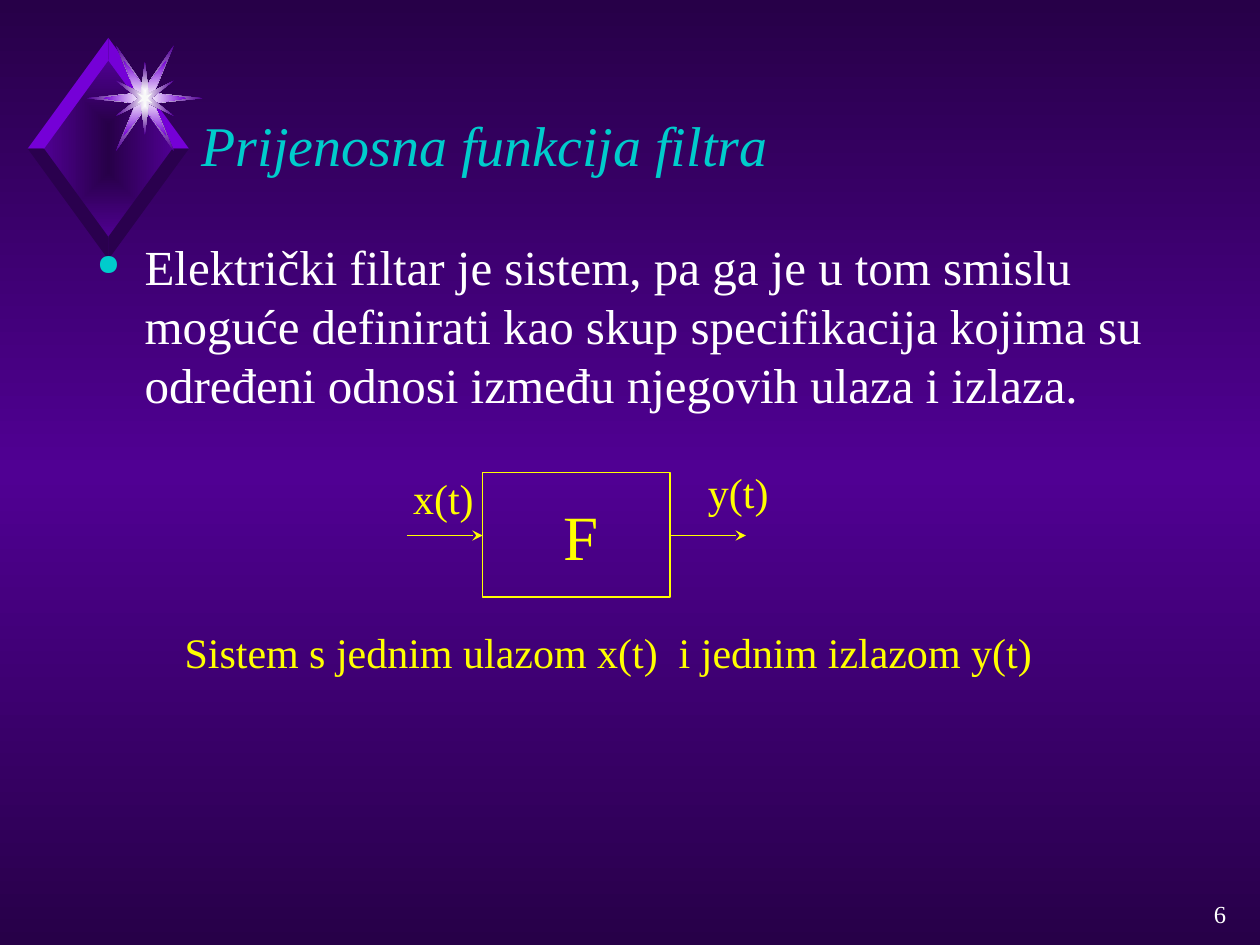
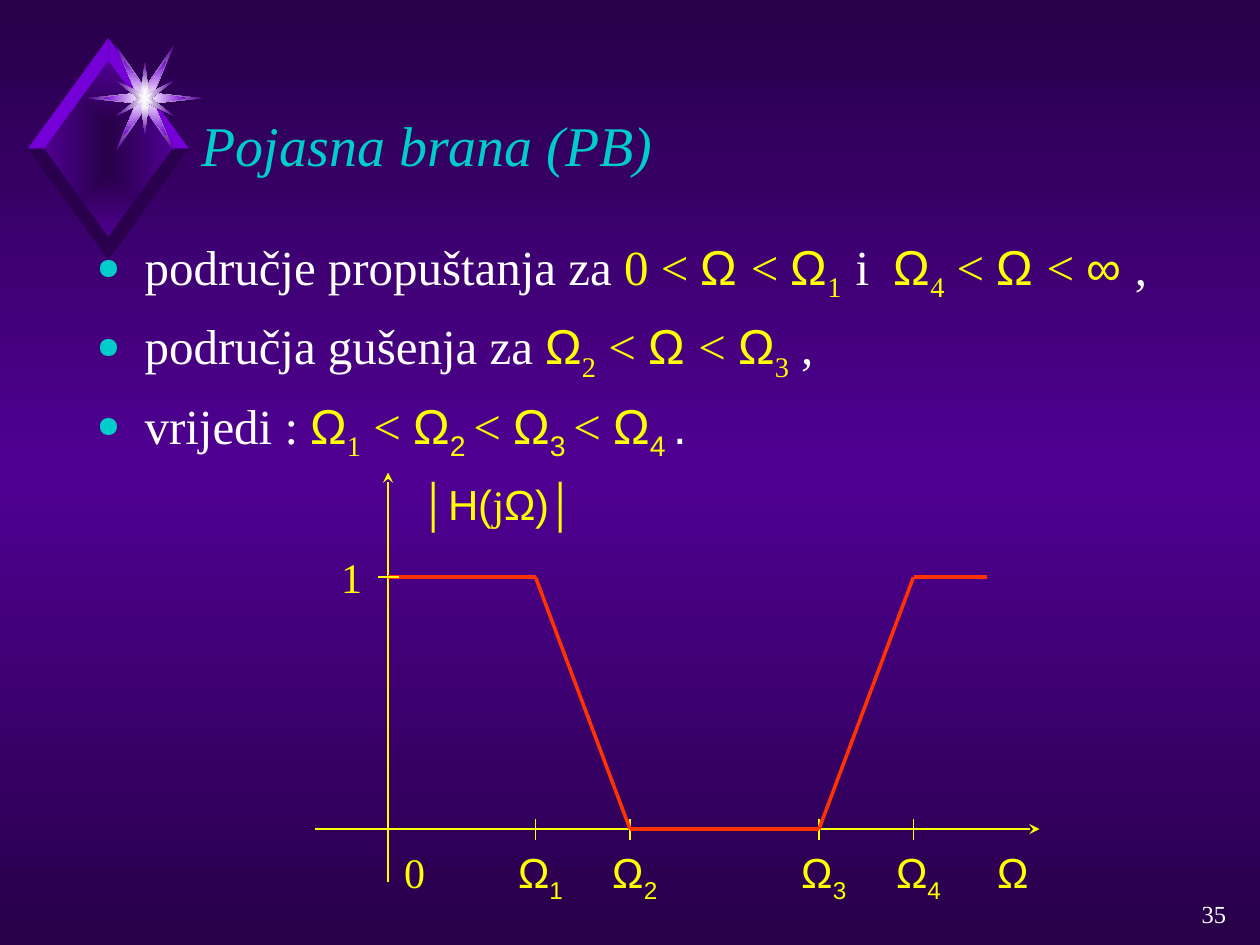
from lxml import etree
from pptx import Presentation, util as u
from pptx.dml.color import RGBColor
from pptx.enum import shapes, text
from pptx.oxml import parse_xml
from pptx.oxml.ns import qn

PX = 9144  # 100 px to the inch
C = dict(dark="270048", violet="500093", bright="7500D7", shade="2A004E",
         glow="FEFEFE", core="F9F9F9", title="00CCCC", white="FFFFFF",
         yellow="FFFF00", red="FF3300")
SERIF, SANS = "Times New Roman", "Arial"
LEFT, CENTER, RIGHT = (text.PP_ALIGN.LEFT, text.PP_ALIGN.CENTER,
                       text.PP_ALIGN.RIGHT)

# run styles: font, colour, subscript
STYLES = {
    "white": (SERIF, "white", False), "yellow": (SERIF, "yellow", False),
    "greek": (SANS, "yellow", False), "sub": (SERIF, "yellow", True),
    "greek_sub": (SANS, "yellow", True), "stop": (SANS, "white", False),
    "title": (SERIF, "title", False),
}

# content: slide 1
FILTER = dict(
    title="Prijenosna funkcija filtra", number="6",
    bullets=[[("Električki filtar je sistem, pa ga je u tom smislu moguće "
               "definirati kao skup specifikacija kojima su određeni odnosi "
               "između njegovih ulaza i izlaza.", "white")]])
BLOCK = (383, 375, 149, 99)
SIGNAL_ARROWS = [(323, 383), (532, 592)]
SIGNAL_Y = 425
BLOCK_LABELS = [("F", (437, 390, 48, 70), 36), ("x(t)", (318, 370, 68, 50), 24),
                ("y(t)", (552, 365, 68, 50), 24)]
CAPTION = "Sistem s jednim ulazom x(t)  i jednim izlazom y(t)"

# content: slide 2
BAND_STOP = dict(
    title="Pojasna brana (PB)", number="35",
    bullets=[
        [("područje propuštanja za ", "white"), ("0 < ", "yellow"),
         ("Ω ", "greek"), ("< ", "yellow"), ("Ω", "greek"), ("1  ", "sub"),
         ("i  ", "white"), ("Ω", "greek"), ("4", "sub"), (" < ", "yellow"),
         ("Ω ", "greek"), ("< ", "yellow"), ("∞ ", "greek"), (",", "white")],
        [("područja gušenja za ", "white"), ("Ω", "greek"), ("2", "sub"),
         (" < ", "yellow"), ("Ω ", "greek"), ("< ", "yellow"), ("Ω", "greek"),
         ("3", "sub"), (" ,", "white")],
        [("vrijedi : ", "white"), ("Ω", "greek"), ("1", "sub"),
         (" < ", "yellow"), ("Ω", "greek"), ("2 ", "greek_sub"),
         ("< ", "yellow"), ("Ω", "greek"), ("3 ", "greek_sub"),
         ("< ", "yellow"), ("Ω", "greek"), ("4 ", "greek_sub"),
         (".", "stop")]])
AXIS_X, AXIS_Y, PASS_Y = 308, 658, 458
OMEGAS = {"1": 425, "2": 500, "3": 650, "4": 725}
RESPONSE = [(AXIS_X, PASS_Y), (OMEGAS["1"], PASS_Y), (OMEGAS["2"], AXIS_Y),
            (OMEGAS["3"], AXIS_Y), (OMEGAS["4"], PASS_Y), (783, PASS_Y)]
GAIN = [("│Η(", "greek"), ("j", "yellow"), ("Ω)│", "greek")]

# emblem: one quarter of each star, mirrored about its centre
STAR_CENTRE, DIAMOND_CENTRE = (115, 78), (86, 118)
STARS = [([(46, 0), (7, 4), (23, 42), (0, 8)], "violet"),
         ([(33, 0), (7, 4), (17, 30), (0, 8)], "bright"),
         ([(5, 0), (23, 14), (3, 4), (0, 29)], "violet"),
         ([(2, 0), (6, 4), (1, 2), (0, 7)], None)]


def rgb(name):
    return RGBColor.from_string(C[name])


def set_gradient(fill, owner, colours, shade):
    """Give a fill evenly spaced stops and a shade element."""
    fill.gradient()
    g = owner.xpath(".//a:gradFill")[0]
    for child in list(g):
        g.remove(child)
    stops = etree.SubElement(g, qn("a:gsLst"))
    for i, name in enumerate(colours):
        pos = str(100000 * i // (len(colours) - 1))
        gs = etree.SubElement(stops, qn("a:gs"), pos=pos)
        etree.SubElement(gs, qn("a:srgbClr"), val=C[name])
    g.append(parse_xml(shade.replace(
        " ", ' xmlns:a="http://schemas.openxmlformats.org/drawingml/2006/main" ', 1)))


def add_bullet(p):
    pPr = p._p.get_or_add_pPr()
    pPr.set("marL", str(38 * PX))
    pPr.set("indent", str(-38 * PX))
    clr = etree.SubElement(pPr, qn("a:buClr"))
    etree.SubElement(clr, qn("a:srgbClr"), val=C["title"])
    etree.SubElement(pPr, qn("a:buSzPct"), val="60000")
    etree.SubElement(pPr, qn("a:buChar"), char="●")


def write(sp, paras, size=24, align=LEFT, anchor=text.MSO_ANCHOR.TOP,
          wrap=True, italic=False, bullet=False, before=0):
    """Fill a shape with paragraphs, each a list of (text, style) runs."""
    tf = sp.text_frame
    tf.word_wrap, tf.vertical_anchor = wrap, anchor
    tf.auto_size = text.MSO_AUTO_SIZE.NONE
    for i, runs in enumerate(paras):
        p = tf.add_paragraph() if i else tf.paragraphs[0]
        if bullet:
            add_bullet(p)
        p.alignment = align
        p.space_before = u.Pt(before if i else 0)
        for content, style in runs:
            font, colour, sub = STYLES[style]
            r = p.add_run()
            r.text = content
            r.font.name, r.font.size = font, u.Pt(size)
            r.font.italic = italic
            r.font.color.rgb = rgb(colour)
            if sub:
                r.font._element.set("baseline", "-25000")


def place(sp, box):
    sp.left, sp.top, sp.width, sp.height = (v * PX for v in box)


def add_text(s, box, paras, **fmt):
    write(s.shapes.add_textbox(*(v * PX for v in box)), paras, **fmt)


def add_line(s, start, end, colour="yellow", width=1, arrow=False):
    sp = s.shapes.add_connector(shapes.MSO_CONNECTOR.STRAIGHT,
                                *(v * PX for v in start + end))
    sp.line.color.rgb, sp.line.width = rgb(colour), u.Pt(width)
    if arrow:
        etree.SubElement(sp.line._get_or_add_ln(), qn("a:tailEnd"), type="stealth")
    etree.SubElement(sp._element.spPr, qn("a:effectLst"))


def add_outline(s, points, colours):
    """Closed outline, filled plain or from its centre outwards."""
    fb = s.shapes.build_freeform(*points[0], scale=PX)
    fb.add_line_segments(points[1:], close=True)
    sp = fb.convert_to_shape()
    sp.shadow.inherit = False
    sp.line.fill.background()
    if len(colours) > 1:
        set_gradient(sp.fill, sp._element.spPr, colours,
                     '<a:path path="rect"><a:fillToRect l="50000" t="50000" '
                     'r="50000" b="50000"/></a:path>')
    else:
        sp.fill.solid()
        sp.fill.fore_color.rgb = rgb(colours[0])


def add_emblem(s):
    cx, cy = DIAMOND_CENTRE
    add_outline(s, [(cx, cy - 71), (cx - 52, cy), (cx, cy + 71), (cx + 52, cy)],
                ["dark", "violet"])
    for sy, colour in ((-1, "bright"), (1, "shade")):
        for sx in (1, -1):
            add_outline(s, [(cx, cy + 70 * sy), (cx, cy + 88 * sy),
                            (cx + 64 * sx, cy), (cx + 51 * sx, cy)], [colour])
    cx, cy = STAR_CENTRE
    for q, rim in STARS:
        ring = (q + [(-x, y) for x, y in q[-2::-1]]
                + [(-x, -y) for x, y in q[1:]]
                + [(x, -y) for x, y in q[-2:0:-1]])
        add_outline(s, [(cx + x, cy + y) for x, y in ring],
                    ["glow", rim] if rim else ["core"])


def add_slide(prs, content, body_height):
    """Emblem, title, bullets and number that every slide has."""
    s = prs.slides.add_slide(prs.slide_layouts[5])
    add_emblem(s)
    place(s.shapes.title, (150, 69, 842, 90))
    write(s.shapes.title, [[(content["title"], "title")]], size=32, italic=True,
          anchor=text.MSO_ANCHOR.MIDDLE)
    add_text(s, (67, 183, 917, body_height), content["bullets"], size=28,
             bullet=True, before=7)
    add_text(s, (775, 700, 208, 50), [[(content["number"], "white")]], size=14,
             align=RIGHT, anchor=text.MSO_ANCHOR.MIDDLE)
    return s


def draw_block(s):
    sp = s.shapes.add_shape(shapes.MSO_SHAPE.RECTANGLE, *(v * PX for v in BLOCK))
    sp.shadow.inherit = False
    sp.fill.background()
    sp.line.color.rgb, sp.line.width = rgb("yellow"), u.Pt(1)
    for x1, x2 in SIGNAL_ARROWS:
        add_line(s, (x1, SIGNAL_Y), (x2, SIGNAL_Y), arrow=True)
    for label, box, size in BLOCK_LABELS:
        add_text(s, box, [[(label, "yellow")]], size=size, wrap=False)
    add_text(s, (133, 492, 700, 50), [[(CAPTION, "yellow")]], align=CENTER)


def draw_response(s):
    # axes and ticks
    add_line(s, (AXIS_X, 700), (AXIS_X, 375), arrow=True)
    add_line(s, (250, AXIS_Y), (825, AXIS_Y), arrow=True)
    for x in OMEGAS.values():
        add_line(s, (x, AXIS_Y + 9), (x, AXIS_Y - 8))
    # response curve
    for start, end in zip(RESPONSE, RESPONSE[1:]):
        add_line(s, start, end, colour="red", width=2)
    add_line(s, (AXIS_X - 8, PASS_Y), (AXIS_X + 9, PASS_Y))
    # labels
    labels = [(x - 25, 667, [("Ω", "greek"), (n, "greek_sub")])
              for n, x in OMEGAS.items()]
    labels += [(775, 667, [("Ω", "greek")]), (300, 667, [("0", "yellow")]),
               (250, 433, [("1", "yellow")])]
    for x, y, runs in labels:
        add_text(s, (x, y, 58, 50), [runs], align=CENTER)
    add_text(s, (325, 375, 142, 50), [GAIN], align=CENTER)


def main():
    prs = Presentation()
    prs.slide_width, prs.slide_height = 1000 * PX, 750 * PX
    master = prs.slide_master
    set_gradient(master.background.fill, master._element,
                 ["dark", "violet", "dark"], '<a:lin ang="5400000" scaled="0"/>')
    draw_block(add_slide(prs, FILTER, 117))
    draw_response(add_slide(prs, BAND_STOP, 167))
    prs.save("out.pptx")


if __name__ == "__main__":
    main()
